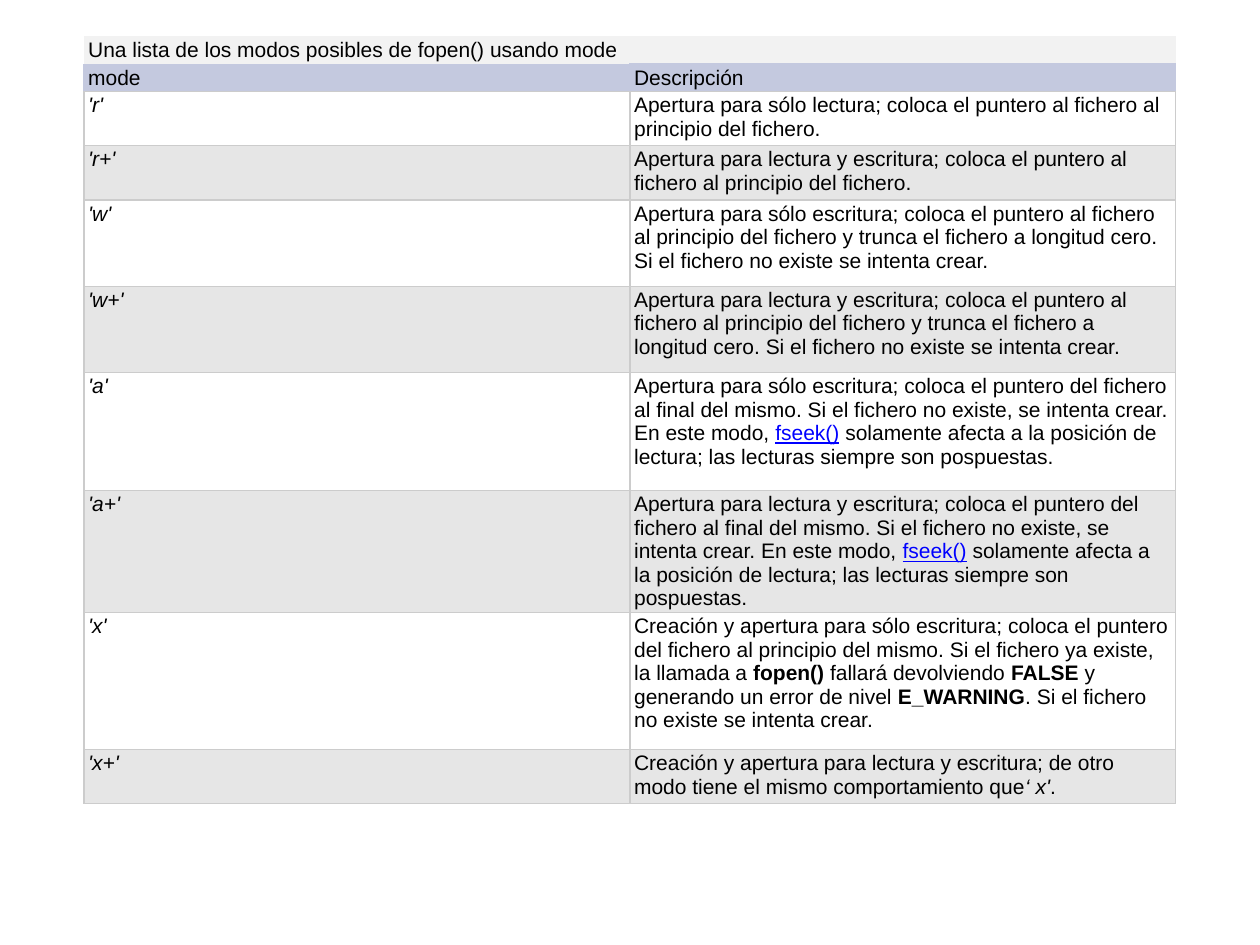
from lxml import etree
from pptx import Presentation
from pptx import util as u
from pptx.dml.color import RGBColor
from pptx.enum import text
from pptx.oxml import ns

COLORS = {"title": "F2F2F2", "header": "C4C9DF", "odd": "FFFFFF", "even": "E6E6E6",
          "grid": "CCCCCC", "ink": "000000", "link": "0000FF"}
SIDES = ("L", "R", "T", "B")
FSEEK = ("fseek()", {"color": "link", "underline": True})
APPEND = ("; coloca el puntero del fichero al final del mismo. Si el fichero no existe, "
          "se intenta crear. En este modo,\u00a0")
POSTPONED = "\u00a0solamente afecta a la posición de lectura; las lecturas siempre son pospuestas."
START = "; coloca el puntero al fichero al principio del fichero"
TRUNCATE = START + " y trunca el fichero a longitud cero. Si el fichero no existe se intenta crear."
READ_WRITE = "Apertura para lectura y escritura"
WRITE = "Apertura para sólo escritura"
BOLD = {"bold": True}

# mode, row height in points, description as plain strings and (string, format) pairs
MODES = [
    ("'r'", 31, ["Apertura para sólo lectura" + START + "."]),
    ("'r+'", 31, [READ_WRITE + START + "."]),
    ("'w'", 49.3, [WRITE + TRUNCATE]),
    ("'w+'", 49.3, [READ_WRITE + TRUNCATE]),
    ("'a'", 67.5, [WRITE + APPEND, FSEEK, POSTPONED]),
    ("'a+'", 67.5, [READ_WRITE + APPEND, FSEEK, POSTPONED]),
    ("'x'", 78.4, [
        "Creación y apertura para sólo escritura; coloca el puntero del fichero al principio "
        "del mismo. Si el fichero ya existe, la llamada a\u00a0",
        ("fopen()", BOLD), "\u00a0fallará devolviendo\u00a0", ("FALSE", BOLD),
        "\u00a0y generando un error de nivel ", ("E_WARNING", BOLD),
        ". Si el fichero no existe se intenta crear. "]),
    ("'x+'", 31, [
        "Creación y apertura para lectura y escritura; de otro modo tiene el mismo "
        "comportamiento que", ("‘ x'", {"italic": True}), "."]),
]


def write(paragraph, words, color="ink", bold=False, italic=False, underline=False,
          size=12, face="Arial"):
    """Append one formatted run to a paragraph."""
    run = paragraph.add_run()
    run.text = words
    font = run.font
    font.name, font.size = face, u.Pt(size)
    font.bold, font.italic, font.underline = bold, italic, underline
    font.color.rgb = RGBColor.from_string(COLORS[color])


class ModeSheet:
    """Holds the cell style and the current slide."""

    margin_x, margin_y, rule = 2.4, 1.2, 0.75

    def __init__(self, slide):
        """Keep the slide that receives the elements."""
        self.slide = slide

    def table(self, left, top, widths, heights):
        """Add an unstyled table with the given column widths and row heights."""
        frame = self.slide.shapes.add_table(
            len(heights), len(widths), u.Pt(left), u.Pt(top),
            u.Pt(sum(widths)), u.Pt(sum(heights)))
        grid = frame.table
        grid.first_row = grid.horz_banding = False
        for column, width in zip(grid.columns, widths):
            column.width = u.Pt(width)
        for row, height in zip(grid.rows, heights):
            row.height = u.Pt(height)
        return grid

    def cell(self, cell, parts, fill, borders, middle=False):
        """Fill, border and write one cell; borders maps a side to a colour name."""
        cell.margin_left = cell.margin_right = u.Pt(self.margin_x)
        cell.margin_top = cell.margin_bottom = u.Pt(self.margin_y)
        if middle:
            cell.vertical_anchor = text.MSO_ANCHOR.MIDDLE
        cell.fill.solid()
        cell.fill.fore_color.rgb = RGBColor.from_string(COLORS[fill])
        self.borders(cell, borders)
        for part in parts:
            words, style = (part, {}) if isinstance(part, str) else part
            write(cell.text_frame.paragraphs[0], words, **style)

    def borders(self, cell, borders):
        """Draw the named sides and clear the others."""
        properties = cell._tc.get_or_add_tcPr()
        for place, side in enumerate(SIDES):
            line = etree.Element(ns.qn("a:ln" + side), w=str(u.Pt(self.rule)))
            if side in borders:
                paint = etree.SubElement(line, ns.qn("a:solidFill"))
                etree.SubElement(paint, ns.qn("a:srgbClr"), val=COLORS[borders[side]])
            else:
                etree.SubElement(line, ns.qn("a:noFill"))
            properties.insert(place, line)


def main():
    """Build the slide and save it."""
    deck = Presentation()
    deck.slide_width, deck.slide_height = u.Pt(720), u.Pt(540)
    sheet = ModeSheet(deck.slides.add_slide(deck.slide_layouts[6]))
    heights = [12.2, 12.2] + [height for _, height, _ in MODES]
    modes = sheet.table(48, 20.6, [312, 312], heights)

    modes.cell(0, 0).merge(modes.cell(0, 1))
    title = "Una lista de los modos posibles de\u00a0fopen()\u00a0usando\u00a0mode"
    sheet.cell(modes.cell(0, 0), [title], "title", {}, middle=True)

    sides = {"L": "header", "R": "header", "B": "grid"}
    sheet.cell(modes.cell(1, 0), ["mode"], "header", sides, middle=True)
    sheet.cell(modes.cell(1, 1), ["Descripción"], "header", {**sides, "T": "header"}, middle=True)

    grid = dict.fromkeys(SIDES, "grid")
    for row, (mode, _, description) in enumerate(MODES, start=2):
        fill = "even" if row % 2 else "odd"
        sheet.cell(modes.cell(row, 0), [(mode, {"italic": True})], fill, grid)
        sheet.cell(modes.cell(row, 1), description, fill, grid)
    deck.save("out.pptx")


main()
